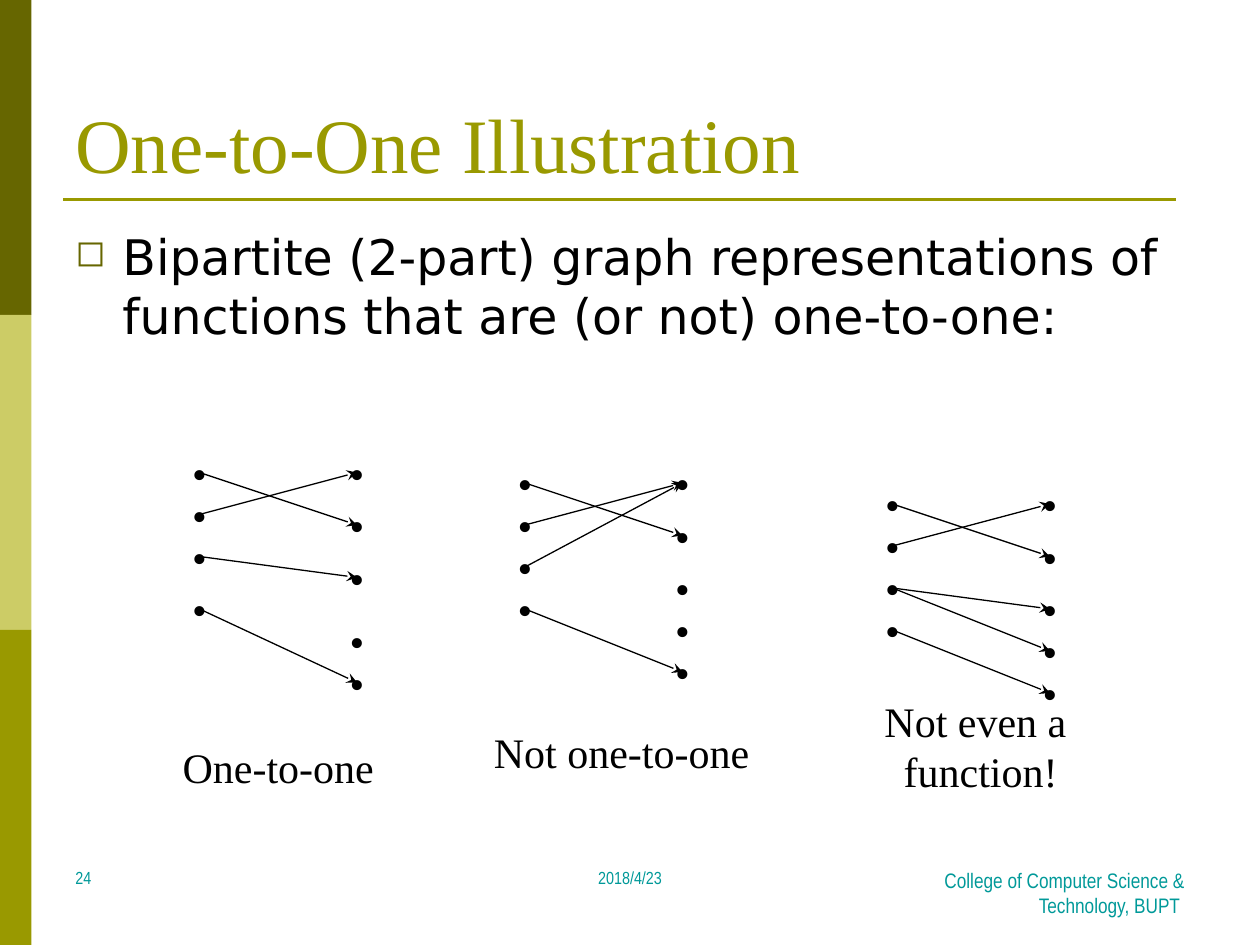
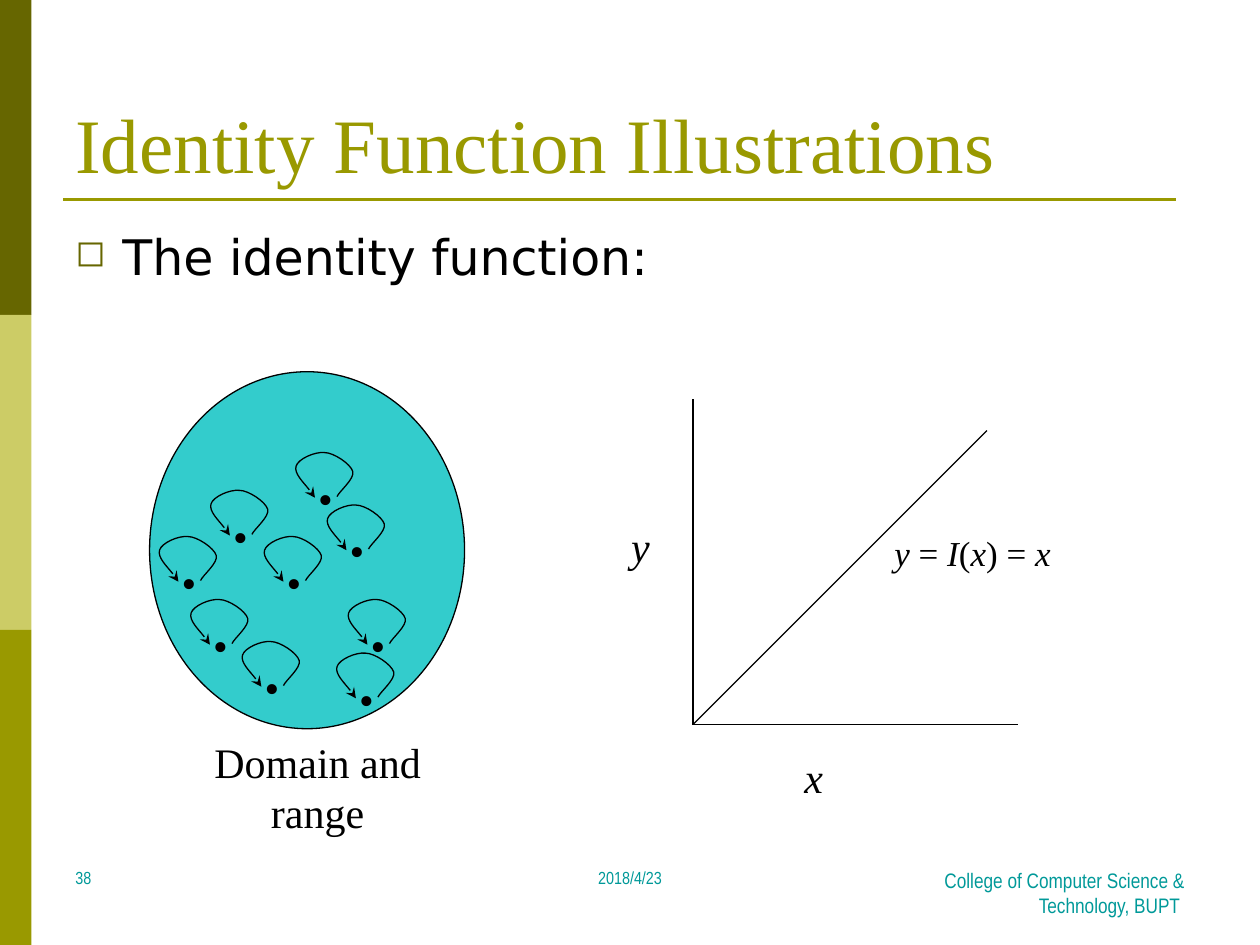
from lxml import etree
from pptx import Presentation
from pptx.dml.color import RGBColor
from pptx.enum.shapes import MSO_CONNECTOR, MSO_SHAPE
from pptx.enum.text import MSO_ANCHOR, PP_ALIGN
from pptx.oxml.ns import qn
from pptx.util import Cm, Pt

STRAIGHT = MSO_CONNECTOR.STRAIGHT
RECTANGLE, OVAL = MSO_SHAPE.RECTANGLE, MSO_SHAPE.OVAL
TOP, MIDDLE, BOTTOM = MSO_ANCHOR.TOP, MSO_ANCHOR.MIDDLE, MSO_ANCHOR.BOTTOM
LEFT, CENTER, RIGHT = PP_ALIGN.LEFT, PP_ALIGN.CENTER, PP_ALIGN.RIGHT

COLORS = {
    "dark olive": "666600",
    "light olive": "CCCC66",
    "olive": "999900",
    "teal": "009999",
    "turquoise": "33CCCC",
    "black": "000000",
}
SERIF, SANS, NARROW = "Times New Roman", "DejaVu Sans", "Arial Narrow"
GRID = 2.54 / 12
SLIDE_W, SLIDE_H = 120, 90
COLUMN_GAP = 15

MAPPINGS = [
    {
        "origin": (19, 45),
        "domain": [0, 4, 8, 13],
        "codomain": [0, 5, 10, 16, 20],
        "arrows": [(0, 1), (1, 0), (2, 2), (3, 4)],
        "caption": ["One-to-one"],
        "caption_box": (16.2, 70, 20.6, 6),
    },
    {
        "origin": (50, 46),
        "domain": [0, 4, 8, 12],
        "codomain": [0, 5, 10, 14, 18],
        "arrows": [(0, 1), (1, 0), (2, 0), (3, 4)],
        "caption": ["Not one-to-one"],
        "caption_box": (45.8, 68.6, 26.8, 6),
    },
    {
        "origin": (85, 48),
        "domain": [0, 4, 8, 12],
        "codomain": [0, 5, 10, 14, 18],
        "arrows": [(0, 1), (1, 0), (2, 2), (2, 3), (3, 4)],
        "caption": ["Not even a ", "function!"],
        "caption_box": (83, 65.6, 20.8, 10.8),
    },
]

ELEMENTS = [
    (22.9, 51), (28, 55.4), (34.9, 66.5), (36, 61.4), (34, 52.4),
    (31, 47.4), (25.9, 65.4), (21, 61.4), (18, 55.4),
]
LOOP = [
    (1.1, -0.1),
    (1.3, -0.6), (2.8, -1.8), (2.6, -2.5),
    (2.4, -3.2), (0.8, -4.3), (-0.1, -4.3),
    (-1, -4.4), (-2.6, -3.7), (-2.8, -3),
    (-3, -2.3), (-1.3, -0.6), (-1, 0),
]


def grid(*units):
    """Convert grid units to lengths."""
    return [Cm(u * GRID) for u in units]


def rgb(name):
    """Look up a named colour."""
    return RGBColor.from_string(COLORS[name])


def add_run(p, text, size, font, color="black", italic=False):
    """Append one formatted run to a paragraph."""
    r = p.add_run()
    r.text = text
    r.font.size = Pt(size)
    r.font.name = font
    r.font.italic = italic
    r.font.color.rgb = rgb(color)


def add_text(shapes, box, align=LEFT, anchor=TOP, wrap=True):
    """Add an empty text box and return its paragraph."""
    tf = shapes.add_textbox(*grid(*box)).text_frame
    tf.word_wrap = wrap
    tf.vertical_anchor = anchor
    p = tf.paragraphs[0]
    p.alignment = align
    return p


def add_label(shapes, box, lines, italic=False):
    """Add a centred diagram label of one or more lines."""
    p = add_text(shapes, box, CENTER, MIDDLE, wrap=False)
    for i, line in enumerate(lines):
        if i:
            p.add_line_break()
        add_run(p, line, 24, SERIF, italic=italic)


def add_dot(shapes, x, y):
    """Mark an element with a bullet centred on a grid point."""
    add_label(shapes, (x - 1.9, y - 3, 3.8, 6), ["•"])


def style_line(sp, color="black", width=0.75, arrow=False):
    """Set line colour, width and optional arrowhead."""
    sp.line.color.rgb = rgb(color)
    sp.line.width = Pt(width)
    if arrow:
        ln = sp.line._get_or_add_ln()
        etree.SubElement(ln, qn("a:tailEnd"), type="stealth")


def add_line(shapes, start, end, **style):
    """Draw a straight line between two grid points."""
    sp = shapes.add_connector(STRAIGHT, *grid(*start, *end))
    style_line(sp, **style)
    etree.SubElement(sp._element.spPr, qn("a:effectLst"))


def add_filled(shapes, kind, box, color):
    """Add a preset shape with a plain fill and no line."""
    sp = shapes.add_shape(kind, *grid(*box))
    sp.shadow.inherit = False
    sp.fill.solid()
    sp.fill.fore_color.rgb = rgb(color)
    sp.line.fill.background()
    return sp


def add_loop(shapes, x, y):
    """Add an element with a curved arrow back to itself."""
    group = shapes.add_group_shape().shapes
    add_dot(group, x, y)
    start, *points = [grid(x + dx, y + dy) for dx, dy in LOOP]
    builder = group.build_freeform(*start)
    builder.add_line_segments(points, close=False)
    sp = builder.convert_to_shape()
    sp.shadow.inherit = False
    sp.fill.background()
    style_line(sp, arrow=True)
    outline = sp._element.find(".//" + qn("a:path"))
    segments = outline.findall(qn("a:lnTo"))
    for i in range(0, len(segments), 3):
        curve = etree.SubElement(outline, qn("a:cubicBezTo"))
        for segment in segments[i:i + 3]:
            curve.append(segment[0])
            outline.remove(segment)


def add_bullet(p):
    """Give a paragraph a hanging square bullet."""
    pPr = p._p.get_or_add_pPr()
    indent = Cm(0.95)
    pPr.set("marL", str(indent))
    pPr.set("indent", str(-indent))
    color = etree.SubElement(pPr, qn("a:buClr"))
    etree.SubElement(color, qn("a:srgbClr"), val=COLORS["dark olive"])
    etree.SubElement(pPr, qn("a:buSzPct"), val="75000")
    etree.SubElement(pPr, qn("a:buChar"), char="◻")


def add_base(prs, title, body, number):
    """Add a slide with bands, title, bullet and footer."""
    shapes = prs.slides.add_slide(prs.slide_layouts[6]).shapes
    band_h = SLIDE_H / 3
    for i, color in enumerate(["dark olive", "light olive", "olive"]):
        add_filled(shapes, RECTANGLE, (0, i * band_h, 3, band_h), color)
    add_line(shapes, (6, 19), (112, 19), color="olive", width=1.5)
    p = add_text(shapes, (6, 3.6, 108, 15), anchor=BOTTOM)
    add_run(p, title, 44, SERIF, "olive")
    p = add_text(shapes, (6, 21, 108, 59.4))
    add_bullet(p)
    add_run(p, body, 28, SANS)
    footers = [
        (6, 28, LEFT, number, 10),
        (41, 38, CENTER, "2018/4/23", 10),
        (86, 28, RIGHT, "College of Computer Science & Technology, BUPT ", 12),
    ]
    for x, w, align, text, size in footers:
        p = add_text(shapes, (x, 82, w, 6), align)
        add_run(p, text, size, NARROW, "teal")
    return shapes


def add_mapping(shapes, origin, domain, codomain, arrows, caption, caption_box):
    """Draw a bipartite graph with its caption."""
    x, y = origin
    sources = [(x, y + dy) for dy in domain]
    targets = [(x + COLUMN_GAP, y + dy) for dy in codomain]
    for point in sources + targets:
        add_dot(shapes, *point)
    for i, j in arrows:
        add_line(shapes, sources[i], targets[j], arrow=True)
    add_label(shapes, caption_box, caption)


def add_identity_set(shapes):
    """Draw the set whose elements map to themselves."""
    sp = add_filled(shapes, OVAL, (14.25, 35.4, 30, 34), "turquoise")
    style_line(sp)
    for point in ELEMENTS:
        add_loop(shapes, *point)
    add_label(shapes, (14.3, 71.9, 31.9, 6), ["Domain and range"])


def add_identity_plot(shapes):
    """Draw the axes and the line of the identity function."""
    corner = (66, 69)
    for end in [(66, 38), (97, 69), (94, 41)]:
        add_line(shapes, corner, end)
    add_label(shapes, (75.4, 71, 4.2, 6), ["x"], italic=True)
    add_label(shapes, (58.9, 49, 4.2, 6), ["y"], italic=True)
    p = add_text(shapes, (84, 50, 17.3, 5.2), wrap=False)
    for i, part in enumerate(["y", " = ", "I", "(", "x", ") = ", "x"]):
        add_run(p, part, 20, SERIF, italic=i % 2 == 0)


def main():
    """Build both slides and save them."""
    prs = Presentation()
    prs.slide_width, prs.slide_height = grid(SLIDE_W, SLIDE_H)
    shapes = add_base(
        prs,
        "One-to-One Illustration",
        "Bipartite (2-part) graph representations of functions "
        "that are (or not) one-to-one:",
        "24",
    )
    for mapping in MAPPINGS:
        add_mapping(shapes, **mapping)
    shapes = add_base(
        prs, "Identity Function Illustrations", "The identity function:", "38"
    )
    add_identity_set(shapes)
    add_identity_plot(shapes)
    prs.save("out.pptx")


if __name__ == "__main__":
    main()
